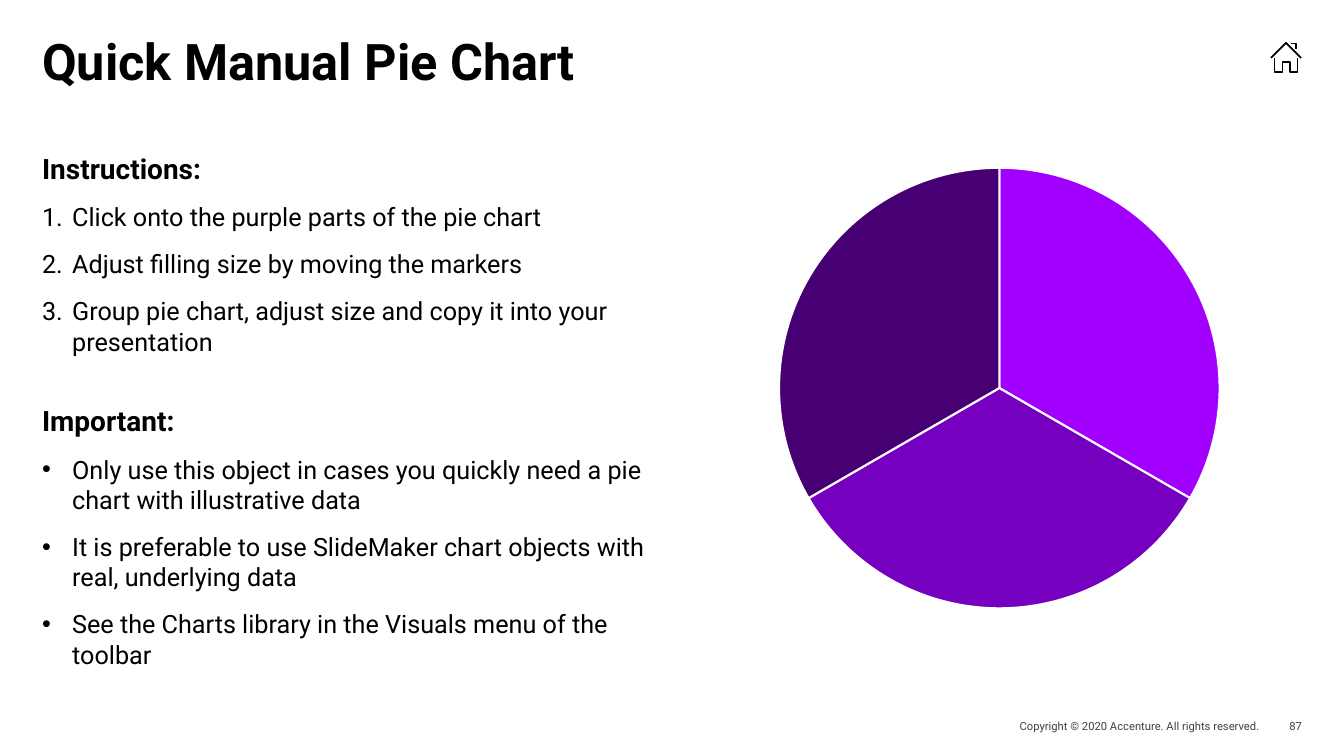
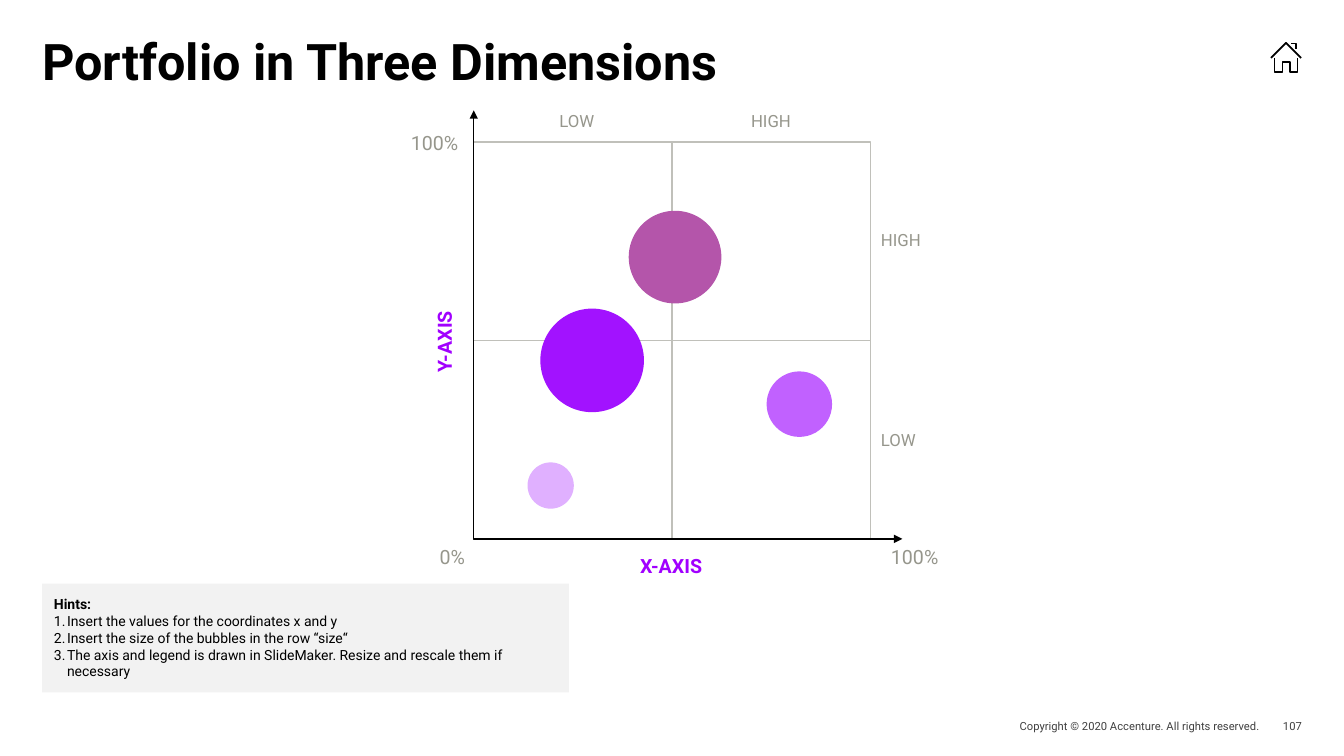
from dataclasses import dataclass
from typing import NamedTuple, Optional

import lxml.etree
import pptx
import pptx.chart.chart
import pptx.chart.data
import pptx.dml.color
import pptx.enum.chart
import pptx.enum.shapes
import pptx.enum.text
import pptx.oxml
import pptx.oxml.ns
import pptx.slide
import pptx.util

Cm, Pt = pptx.util.Cm, pptx.util.Pt
Align, Anchor = pptx.enum.text.PP_ALIGN, pptx.enum.text.MSO_ANCHOR
qn = pptx.oxml.ns.qn

# Shared look
FONT = "Roboto"
BLACK, WHITE, FOOTER_GREY = "000000", "FFFFFF", "404040"
PURPLE, LABEL_GREY, GRID_GREY, HINT_FILL = "A100FF", "96968C", "C0C0BA", "F2F2F2"
MARGIN = 1.06


class Box(NamedTuple):
    """Position and size in centimetres."""
    left: float
    top: float
    width: float
    height: float

    def lengths(self) -> list:
        return [Cm(value) for value in self]


@dataclass
class Label:
    text: str
    box: Box
    size: float = 12
    color: str = LABEL_GREY
    bold: bool = False
    align: Align = Align.LEFT
    anchor: Anchor = Anchor.MIDDLE
    spacing: float = 0.85
    rotation: float = 0


@dataclass
class Bubble:
    x: float
    y: float
    size: float
    color: str


def rgb(color: str) -> pptx.dml.color.RGBColor:
    return pptx.dml.color.RGBColor.from_string(color)


def paint(fill, color: str) -> None:
    fill.solid()
    fill.fore_color.rgb = rgb(color)


# Text
def write(frame, text: str, *, size: float, color: str = BLACK, bold: bool = False,
          align: Align = Align.LEFT, spacing: float = 1, after: float = 0,
          bullet: Optional[str] = None, indent: float = 0) -> None:
    """Add a paragraph; bullet is "1." for numbers or the bullet sign."""
    paragraph = frame.paragraphs[0] if not frame.text else frame.add_paragraph()
    paragraph.text = text
    paragraph.alignment = align
    paragraph.line_spacing = spacing
    paragraph.space_before, paragraph.space_after = Pt(0), Pt(after)
    if bullet:
        properties = paragraph._p.get_or_add_pPr()
        properties.set("marL", str(Cm(indent)))
        properties.set("indent", str(-Cm(indent)))
        if bullet == "1.":
            lxml.etree.SubElement(properties, qn("a:buAutoNum"), type="arabicPeriod")
        else:
            lxml.etree.SubElement(properties, qn("a:buFont"), typeface="Arial")
            lxml.etree.SubElement(properties, qn("a:buChar"), char=bullet)
    font = paragraph.font
    font.name, font.size, font.bold = FONT, Pt(size), bold
    font.color.rgb = rgb(color)


def set_frame(frame, margins: tuple = (0, 0, 0, 0), anchor: Anchor = Anchor.TOP):
    frame.word_wrap = True
    frame.vertical_anchor = anchor
    (frame.margin_left, frame.margin_top,
     frame.margin_right, frame.margin_bottom) = [Cm(margin) for margin in margins]
    return frame


def add_label(slide: pptx.slide.Slide, label: Label) -> None:
    shape = slide.shapes.add_textbox(*label.box.lengths())
    shape.rotation = label.rotation
    write(set_frame(shape.text_frame, anchor=label.anchor), label.text, size=label.size,
          color=label.color, bold=label.bold, align=label.align, spacing=label.spacing)


# Shapes
def add_rectangle(slide: pptx.slide.Slide, box: Box, fill: Optional[str] = None,
                  line: Optional[str] = None):
    shape = slide.shapes.add_shape(pptx.enum.shapes.MSO_SHAPE.RECTANGLE, *box.lengths())
    shape.shadow.inherit = False
    if fill:
        paint(shape.fill, fill)
    else:
        shape.fill.background()
    if line:
        paint(shape.line.fill, line)
        shape.line.width = Pt(1)
    else:
        shape.line.fill.background()
    return shape


def add_strokes(slide: pptx.slide.Slide, strokes: list, width: float):
    """Draw open black polylines as one outline."""
    def point(pair: tuple) -> tuple:
        return Cm(pair[0]), Cm(pair[1])

    builder = slide.shapes.build_freeform(*point(strokes[0][0]), scale=1.0)
    for number, stroke in enumerate(strokes):
        if number:
            builder.move_to(*point(stroke[0]))
        builder.add_line_segments([point(pair) for pair in stroke[1:]], close=False)
    shape = builder.convert_to_shape()
    shape.shadow.inherit = False
    shape.fill.background()
    paint(shape.line.fill, BLACK)
    shape.line.width = Pt(width)
    return shape


# Charts
def style_chart(chart: pptx.chart.chart.Chart, size: float, plot: tuple) -> None:
    """Set font, clear backgrounds and fix the inner plot area."""
    chart.has_title = chart.has_legend = False
    chart.font.name, chart.font.size = FONT, Pt(size)
    chart.font.color.rgb = rgb(BLACK)
    namespaces = pptx.oxml.ns.nsdecls("c", "a")
    clear = f"<c:spPr {namespaces}><a:noFill/><a:ln><a:noFill/></a:ln></c:spPr>"
    chart_part = chart._chartSpace.find(qn("c:chart"))
    chart_part.addnext(pptx.oxml.parse_xml(clear))
    area = chart_part.find(qn("c:plotArea"))
    area.append(pptx.oxml.parse_xml(clear))
    for old in area.findall(qn("c:layout")):
        area.remove(old)
    settings = {"layoutTarget": "inner", "xMode": "edge", "yMode": "edge",
                **dict(zip("xywh", plot))}
    layout = lxml.etree.Element(qn("c:layout"))
    manual = lxml.etree.SubElement(layout, qn("c:manualLayout"))
    for key, value in settings.items():
        lxml.etree.SubElement(manual, qn(f"c:{key}"), val=str(value))
    area.insert(0, layout)


def color_points(series, colors: list, border: Optional[str] = None) -> None:
    for number, color in enumerate(colors):
        style = series.points[number].format
        paint(style.fill, color)
        if border:
            paint(style.line.fill, border)
            style.line.width = Pt(1.5)
        else:
            style.line.fill.background()


# Parts on every slide
def add_base_slide(deck, title: str, number: str) -> pptx.slide.Slide:
    slide = deck.slides.add_slide(deck.slide_layouts[6])
    footer = dict(size=8, color=FOOTER_GREY, align=Align.RIGHT, spacing=1)
    for label in (
        Label("Copyright © 2020 Accenture. All rights reserved.",
              Box(23.11, 18.01, 8.64, 0.57), **footer),
        Label(number, Box(31.75, 18.01, 1.06, 0.57), **footer),
        Label(title, Box(MARGIN, MARGIN, 31.75, 2.75), size=36, color=BLACK, bold=True,
              anchor=Anchor.TOP, spacing=0.8),
    ):
        add_label(slide, label)
    roof = [(32.03, 1.46), (32.41, 1.08), (32.79, 1.46)]
    chimney = [(32.54, 1.1), (32.66, 1.1), (32.66, 1.23)]
    walls = [(32.12, 1.47), (32.12, 1.82), (32.32, 1.82), (32.32, 1.57),
             (32.51, 1.57), (32.51, 1.82), (32.7, 1.82), (32.7, 1.47)]
    add_strokes(slide, [roof, chimney, walls], 1.25)
    return slide


# Slide 87
def build_pie_slide(deck) -> None:
    slide = add_base_slide(deck, "Quick Manual Pie Chart", "87")
    guide = set_frame(slide.shapes.add_textbox(*Box(MARGIN, 3.81, 15.88, 13.72).lengths()).text_frame)
    sections = [
        ("Instructions:", "1.", [
            "Click onto the purple parts of the pie chart",
            "Adjust filling size by moving the markers",
            "Group pie chart, adjust size and copy it into your presentation"]),
        ("Important:", "•", [
            "Only use this object in cases you quickly need a pie chart with illustrative data",
            "It is preferable to use SlideMaker chart objects with real, underlying data",
            "See the Charts library in the Visuals menu of the toolbar"]),
    ]
    for heading, bullet, items in sections:
        write(guide, heading, size=20, bold=True, after=12)
        for item in items:
            section_end = item == items[-1]
            write(guide, item, size=18, after=34 if section_end else 12,
                  bullet=bullet, indent=0.76)

    shares = pptx.chart.data.CategoryChartData()
    shares.categories = ["1", "2", "3"]
    shares.add_series("Series 1", [33, 33, 33])
    pie = slide.shapes.add_chart(pptx.enum.chart.XL_CHART_TYPE.PIE,
                                 *Box(17.88, 3.81, 14.61, 11.94).lengths(), shares).chart
    style_chart(pie, 10, (0.12, 0.03, 0.76, 0.94))
    pie.plots[0].vary_by_categories = True
    color_points(pie.plots[0].series[0], [PURPLE, "7500C0", "460073"], WHITE)


# Slide 107
def build_portfolio_slide(deck) -> None:
    slide = add_base_slide(deck, "Portfolio in Three Dimensions", "107")

    # Hints
    hint_box = add_rectangle(slide, Box(MARGIN, 14.71, 13.28, 2.74), fill=HINT_FILL)
    hints = set_frame(hint_box.text_frame, (0.3, 0.3, 0.2, 0.3))
    write(hints, "Hints:", size=10, bold=True)
    for hint in (
        "Insert the values for the coordinates x and y",
        "Insert the size of the bubbles in the row “size“",
        "The axis and legend is drawn in SlideMaker. Resize and rescale them if necessary",
    ):
        write(hints, hint, size=10, bullet="1.", indent=0.33)

    # Quadrants and axes
    left, top, cell = 11.94, 3.58, 5
    bottom, overhang = top + 2 * cell, 0.8
    for row in range(2):
        for column in range(2):
            add_rectangle(slide, Box(left + column * cell, top + row * cell, cell, cell),
                          line=GRID_GREY)
    axes = add_strokes(slide, [[(left, top - overhang), (left, bottom),
                                (left + 2 * cell + overhang, bottom)]], 1)
    for end in ("a:headEnd", "a:tailEnd"):
        lxml.etree.SubElement(axes.line._get_or_add_ln(), qn(end), type="triangle")

    # Labels
    scale = dict(size=14, align=Align.RIGHT, spacing=1)
    axis_name = dict(size=14, color=PURPLE, bold=True, align=Align.CENTER)
    for label in (
        Label("HIGH", Box(22.2, 5.87, 2.03, 0.43)),
        Label("LOW", Box(22.2, 10.9, 2.03, 0.43)),
        Label("LOW", Box(13.69, 2.87, 1.7, 0.43), align=Align.CENTER),
        Label("HIGH", Box(18.54, 2.87, 1.78, 0.43), align=Align.CENTER),
        Label("0%", Box(10.72, 13.72, 1, 0.61), anchor=Anchor.TOP, **scale),
        Label("100%", Box(22.2, 13.74, 1.45, 0.61), anchor=Anchor.TOP, **scale),
        Label("100%", Box(9.45, 3.28, 2.1, 0.61), **scale),
        Label("Y-AXIS", Box(6.27, 8.36, 9.93, 0.51), anchor=Anchor.BOTTOM,
              rotation=270, **axis_name),
        Label("X-AXIS", Box(11.86, 14.05, 10.11, 0.51), anchor=Anchor.TOP, **axis_name),
    ):
        add_label(slide, label)

    # Bubbles
    bubbles = [Bubble(20, 27, 1, "E0B0FF"), Bubble(30, 67, 5, "A212FF"),
               Bubble(80, 53, 2, "C161FF"), Bubble(50, 100, 4, "B455AA")]
    values = pptx.chart.data.BubbleChartData()
    series = values.add_series("Series 1")
    for bubble in bubbles:
        series.add_data_point(bubble.x, bubble.y, bubble.size)
    portfolio = slide.shapes.add_chart(pptx.enum.chart.XL_CHART_TYPE.BUBBLE,
                                       *Box(10.39, 3.15, 18.42, 12.34).lengths(), values).chart
    style_chart(portfolio, 18, (0.076, 0.059, 0.567, 0.85))
    portfolio.plots[0].bubble_scale = 100
    for axis, maximum, step in ((portfolio.category_axis, 100, 20),
                                (portfolio.value_axis, 133, 13)):
        axis.minimum_scale, axis.maximum_scale, axis.major_unit = 0, maximum, step
        axis.has_major_gridlines = False
        axis.visible = False
    plotted = portfolio.plots[0].series[0]
    paint(plotted.format.fill, PURPLE)
    color_points(plotted, [bubble.color for bubble in bubbles])


def main() -> None:
    deck = pptx.Presentation()
    deck.slide_width, deck.slide_height = Cm(33.87), Cm(19.05)
    build_pie_slide(deck)
    build_portfolio_slide(deck)
    deck.save("out.pptx")


if __name__ == "__main__":
    main()
